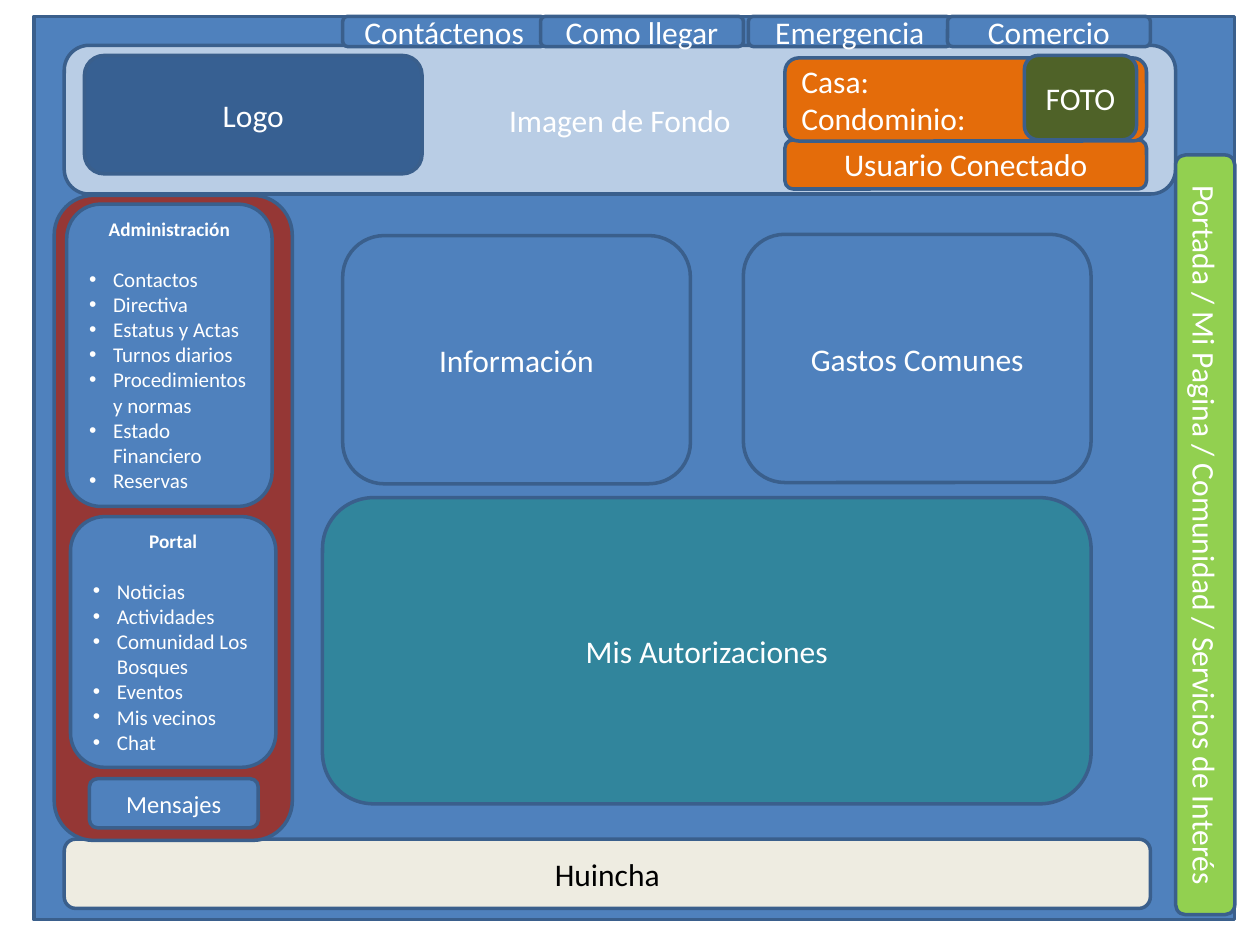
from pptx import Presentation
from pptx import util as u
from pptx.dml.color import RGBColor
from pptx.enum import shapes, text
from pptx.oxml import parse_xml
from pptx.oxml.ns import nsdecls

COLORS = {
    "blue": "4F81BD", "edge": "3A5F8C", "header": "B9CDE5", "logo": "376092",
    "teal": "31859C", "orange": "E46C0A", "cream": "EEECE1", "photo": "4F6228",
    "green": "92D050", "red": "953735", "white": "FFFFFF", "black": "000000",
}
FONT = "Calibri"
INDENT = 0.19
TABS = [(2.72, "Contáctenos"), (4.29, "Como llegar"),
        (5.94, "Emergencia"), (7.52, "Comercio")]
ADMIN = ["Contactos", "Directiva", "Estatus y Actas", "Turnos diarios",
         "Procedimientos y normas", "Estado Financiero", "Reservas"]
PORTAL = ["Noticias", "Actividades", "Comunidad Los Bosques", "Eventos",
          "Mis vecinos", "Chat"]


def rgb(name):
    return RGBColor.from_string(COLORS[name])


def add_box(s, at, fill="blue", kind=shapes.MSO_SHAPE.ROUNDED_RECTANGLE):
    sp = s.shapes.add_shape(kind, *[u.Inches(v) for v in at])
    sp.shadow.inherit = False
    sp.fill.solid()
    sp.fill.fore_color.rgb = rgb(fill)
    sp.line.color.rgb = rgb("edge")
    sp.line.width = u.Pt(2)
    tf = sp.text_frame
    tf.word_wrap = True
    tf.vertical_anchor = text.MSO_ANCHOR.MIDDLE
    return sp


def add_run(p, words, size, color="white", bold=False):
    r = p.add_run()
    r.text = words
    r.font.name = FONT
    r.font.size = u.Pt(size)
    r.font.bold = bold
    r.font.color.rgb = rgb(color)


def add_label(s, at, lines, fill="blue", size=18, color="white",
              align=text.PP_ALIGN.CENTER):
    sp = add_box(s, at, fill)
    tf = sp.text_frame
    for i, line in enumerate(lines.split("\n")):
        p = tf.add_paragraph() if i else tf.paragraphs[0]
        p.alignment = align
        add_run(p, line, size, color)
    return sp


def set_bullet(p):
    pPr = p._p.get_or_add_pPr()
    pPr.set("marL", str(u.Inches(INDENT)))
    pPr.set("indent", str(-u.Inches(INDENT)))
    pPr.append(parse_xml(f'<a:buFont {nsdecls("a")} typeface="Arial"/>'))
    pPr.append(parse_xml(f'<a:buChar {nsdecls("a")} char="•"/>'))


def add_menu(s, at, title, items):
    tf = add_box(s, at).text_frame
    p = tf.paragraphs[0]
    p.alignment = text.PP_ALIGN.CENTER
    p.space_after = u.Pt(14.6)
    add_run(p, title, 11, bold=True)
    for item in items:
        p = tf.add_paragraph()
        p.alignment = text.PP_ALIGN.LEFT
        set_bullet(p)
        add_run(p, item, 12)


def main():
    prs = Presentation()
    prs.slide_width, prs.slide_height = u.Inches(10), u.Inches(7.5)
    s = prs.slides.add_slide(prs.slide_layouts[6])

    add_box(s, (0.27, 0.13, 9.53, 7.17), kind=shapes.MSO_SHAPE.RECTANGLE)
    add_label(s, (0.51, 0.36, 8.82, 1.18), "Imagen de Fondo", "header")
    add_label(s, (0.67, 0.44, 2.68, 0.94), "Logo", "logo")
    add_label(s, (2.56, 3.95, 6.1, 2.43), "Mis Autorizaciones", "teal")
    for left, name in TABS:
        add_label(s, (left, 0.13, 1.61, 0.24), name)
    add_label(s, (2.72, 1.87, 2.76, 1.97), "Información")
    add_label(s, (5.9, 1.86, 2.76, 1.97), "Gastos Comunes")
    add_label(s, (6.23, 1.11, 2.87, 0.39), "Usuario Conectado", "orange")
    add_label(s, (0.51, 6.66, 8.62, 0.55), "Huincha", "cream", color="black")
    add_label(s, (6.23, 0.46, 2.87, 0.66), "Casa:\nCondominio:", "orange",
              align=text.PP_ALIGN.LEFT)
    add_label(s, (8.13, 0.44, 0.89, 0.67), "FOTO", "photo")
    sidebar = add_label(s, (6.55, 4.01, 6.03, 0.47),
                        "Portada / Mi Pagina / Comunidad / Servicios de Interés",
                        "green")
    sidebar.rotation = 90

    add_box(s, (0.43, 1.55, 1.89, 5.12), "red")
    add_label(s, (0.71, 6.18, 1.34, 0.39), "Mensajes", size=14)
    add_menu(s, (0.53, 1.62, 1.63, 2.4), "Administración", ADMIN)
    add_menu(s, (0.56, 4.1, 1.63, 1.99), "Portal", PORTAL)

    prs.save("out.pptx")


if __name__ == "__main__":
    main()
